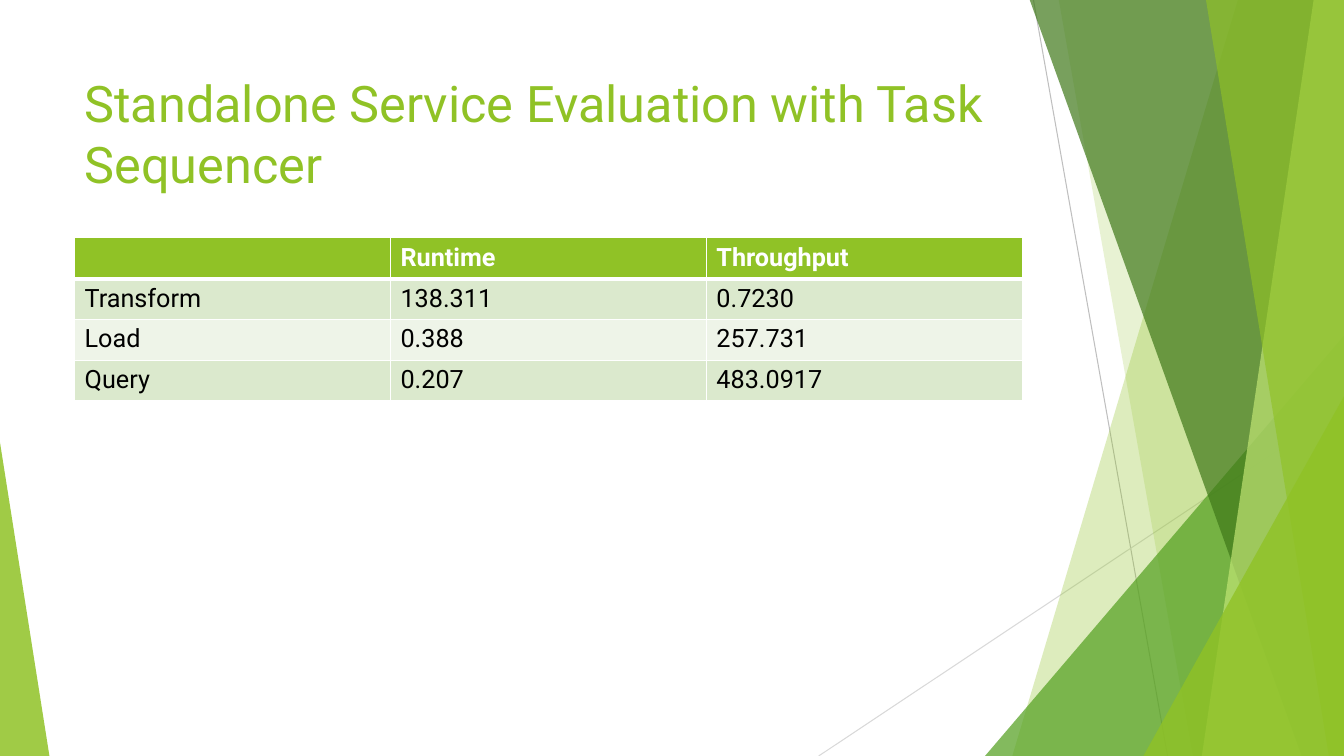
from dataclasses import dataclass

from lxml import etree
from pptx import Presentation
from pptx.dml.color import RGBColor
from pptx.enum.shapes import MSO_CONNECTOR, MSO_SHAPE
from pptx.enum.text import MSO_ANCHOR
from pptx.oxml.ns import qn
from pptx.util import Inches, Pt

STRAIGHT = MSO_CONNECTOR.STRAIGHT
TRIANGLE = MSO_SHAPE.ISOSCELES_TRIANGLE
TOP_ANCHOR = MSO_ANCHOR.TOP

FONT = "Roboto"
WIDTH, HEIGHT = 13.33, 7.5
FACET_TOP = -0.01
LEFT, CONTENT_WIDTH = 0.74, 9.4
ROW_HEIGHT = 1.62 / 4

COLORS = {
    "lime": "90C226",
    "green": "54A021",
    "forest": "3F7819",
    "pale_lime": "C0E474",
    "line_dark": "BFBFBF",
    "line_light": "D9D9D9",
    "band_dark": "DBE9CD",
    "band_light": "EEF4E8",
    "white": "FFFFFF",
    "black": "000000",
}


@dataclass(frozen=True)
class Ray:
    start: tuple[float, float]
    end: tuple[float, float]
    color: str


@dataclass(frozen=True)
class Facet:
    """A band from a slanted left edge to the right edge of the slide."""
    top_x: float
    bottom_x: float
    color: str
    opacity: int


@dataclass(frozen=True)
class Corner:
    """A right triangle standing on the bottom edge; apex is 0 (left) or 1 (right)."""
    left: float
    width: float
    height: float
    apex: int
    color: str
    opacity: int


RAYS = [
    Ray((10.25, 0), (11.58, HEIGHT), "line_dark"),
    Ray((WIDTH, 4.03), (8.12, HEIGHT), "line_light"),
]

BACKDROP = [
    Facet(12.28, 10.04, "lime", 30),
    Facet(10.5, 11.83, "lime", 20),
    Corner(9.77, 3.56, 4.17, 1, "green", 72),
    Facet(10.21, 12.91, "forest", 70),
    Facet(13.03, 11.92, "pale_lime", 70),
    Facet(11.96, 13.18, "lime", 65),
    Corner(11.34, 1.99, 3.57, 1, "lime", 80),
    Corner(0, 0.49, 3.11, 0, "lime", 85),
]

RESULTS = [
    ("", "Runtime", "Throughput"),
    ("Transform", "138.311", "0.7230"),
    ("Load", "0.388", "257.731"),
    ("Query", "0.207", "483.0917"),
]


def rgb(name: str) -> RGBColor:
    return RGBColor.from_string(COLORS[name])


def draw_ray(slide, ray: Ray) -> None:
    points = [Inches(value) for value in ray.start + ray.end]
    line = slide.shapes.add_connector(STRAIGHT, *points)
    line.line.color.rgb = rgb(ray.color)
    line.line.width = Pt(0.75)
    etree.SubElement(line._element.spPr, qn("a:effectLst"))


def add_facet(slide, facet: Facet):
    top, bottom, right = Inches(FACET_TOP), Inches(HEIGHT), Inches(WIDTH)
    outline = slide.shapes.build_freeform(Inches(facet.top_x), top)
    outline.add_line_segments(
        [(right, top), (right, bottom), (Inches(facet.bottom_x), bottom)])
    return outline.convert_to_shape()


def add_corner(slide, corner: Corner):
    shape = slide.shapes.add_shape(
        TRIANGLE, Inches(corner.left), Inches(HEIGHT - corner.height),
        Inches(corner.width), Inches(corner.height))
    shape.adjustments[0] = corner.apex
    return shape


def draw_backdrop(slide, piece: Facet | Corner) -> None:
    add = add_facet if isinstance(piece, Facet) else add_corner
    shape = add(slide, piece)
    shape.shadow.inherit = False
    shape.line.fill.background()
    shape.fill.solid()
    shape.fill.fore_color.rgb = rgb(piece.color)
    color = shape._element.spPr.find(qn("a:solidFill"))[0]
    etree.SubElement(color, qn("a:alpha"), val=str(piece.opacity * 1000))


def style_text(paragraph, size: int, color: str, bold: bool = False) -> None:
    font = paragraph.font
    font.name, font.size, font.bold = FONT, Pt(size), bold
    font.color.rgb = rgb(color)


def draw_title(slide, text: str) -> None:
    title = slide.shapes.add_textbox(
        Inches(LEFT), Inches(0.67), Inches(CONTENT_WIDTH), Inches(1.44))
    frame = title.text_frame
    frame.word_wrap = True
    frame.vertical_anchor = TOP_ANCHOR
    frame.text = text
    style_text(frame.paragraphs[0], 36, "lime")


def set_borders(cell, top: int, bottom: int) -> None:
    """Give the cell white borders; must run before the cell is filled."""
    properties = cell._tc.get_or_add_tcPr()
    for side, width in (("L", 1), ("R", 1), ("T", top), ("B", bottom)):
        border = etree.SubElement(properties, qn(f"a:ln{side}"), w=str(Pt(width)))
        fill = etree.SubElement(border, qn("a:solidFill"))
        etree.SubElement(fill, qn("a:srgbClr"), val=COLORS["white"])


def draw_results(slide, results: list[tuple[str, ...]]) -> None:
    table = slide.shapes.add_table(
        len(results), len(results[0]), Inches(LEFT), Inches(2.36),
        Inches(CONTENT_WIDTH), Inches(ROW_HEIGHT * len(results))).table
    for row, values in enumerate(results):
        header = row == 0
        band = "lime" if header else "band_dark" if row % 2 else "band_light"
        for column, value in enumerate(values):
            cell = table.cell(row, column)
            cell.text = value
            style_text(cell.text_frame.paragraphs[0], 18,
                       "white" if header else "black", bold=header)
            set_borders(cell, top=3 if row == 1 else 1, bottom=3 if header else 1)
            cell.fill.solid()
            cell.fill.fore_color.rgb = rgb(band)


def main() -> None:
    deck = Presentation()
    deck.slide_width, deck.slide_height = Inches(WIDTH), Inches(HEIGHT)
    slide = deck.slides.add_slide(deck.slide_layouts[6])
    for ray in RAYS:
        draw_ray(slide, ray)
    for piece in BACKDROP:
        draw_backdrop(slide, piece)
    draw_title(slide, "Standalone Service Evaluation with Task Sequencer")
    draw_results(slide, RESULTS)
    deck.save("out.pptx")


if __name__ == "__main__":
    main()
